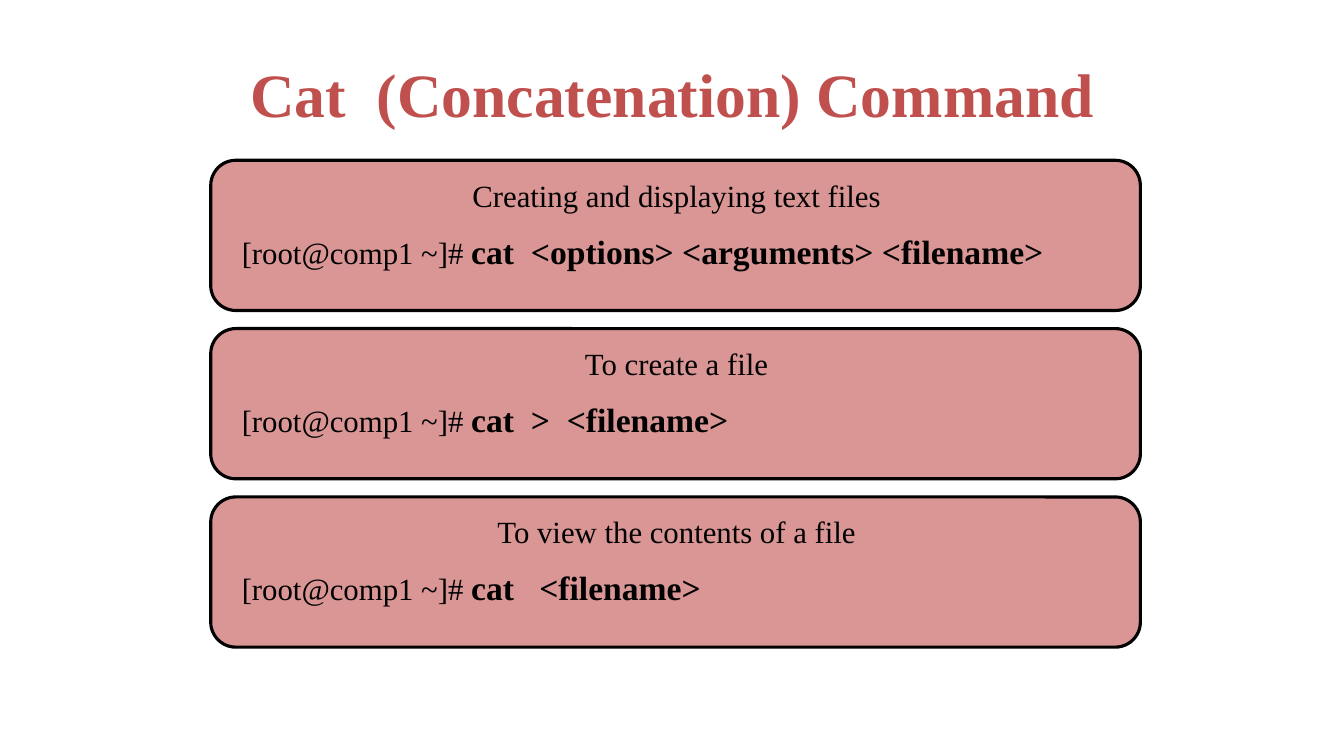
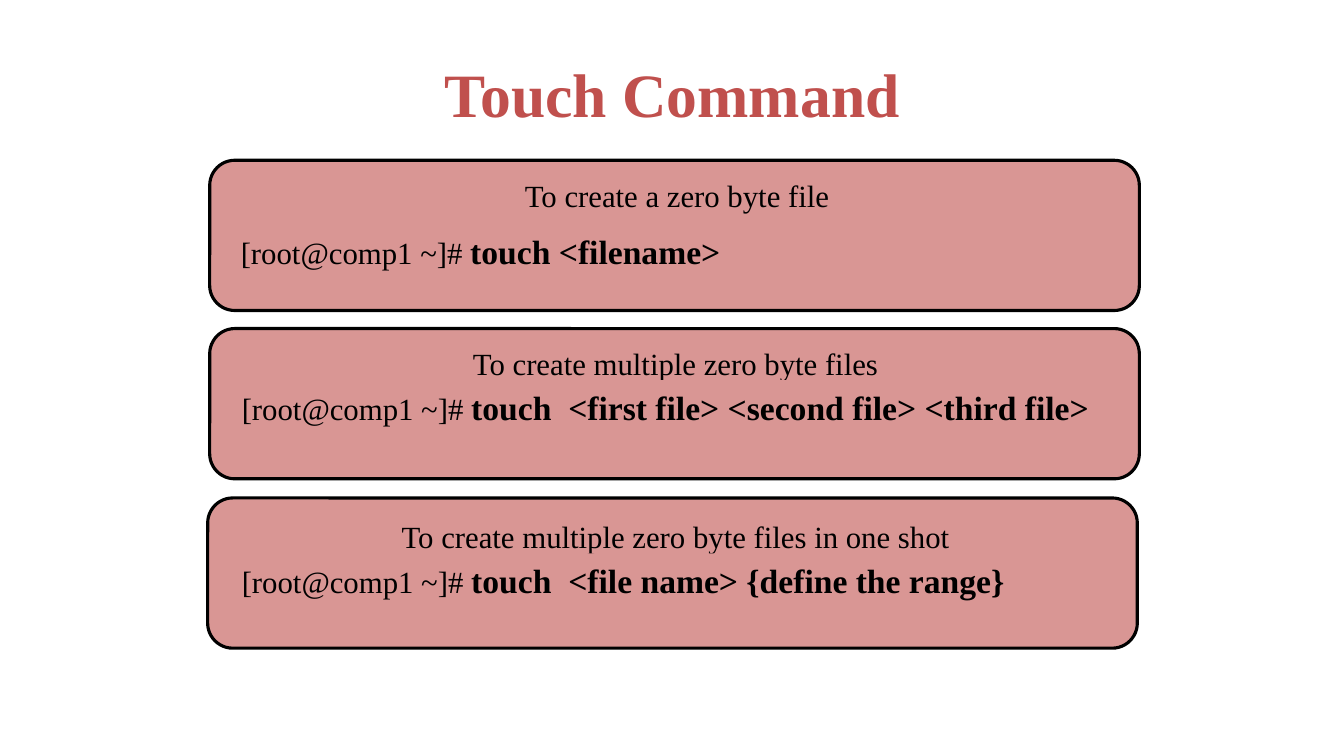
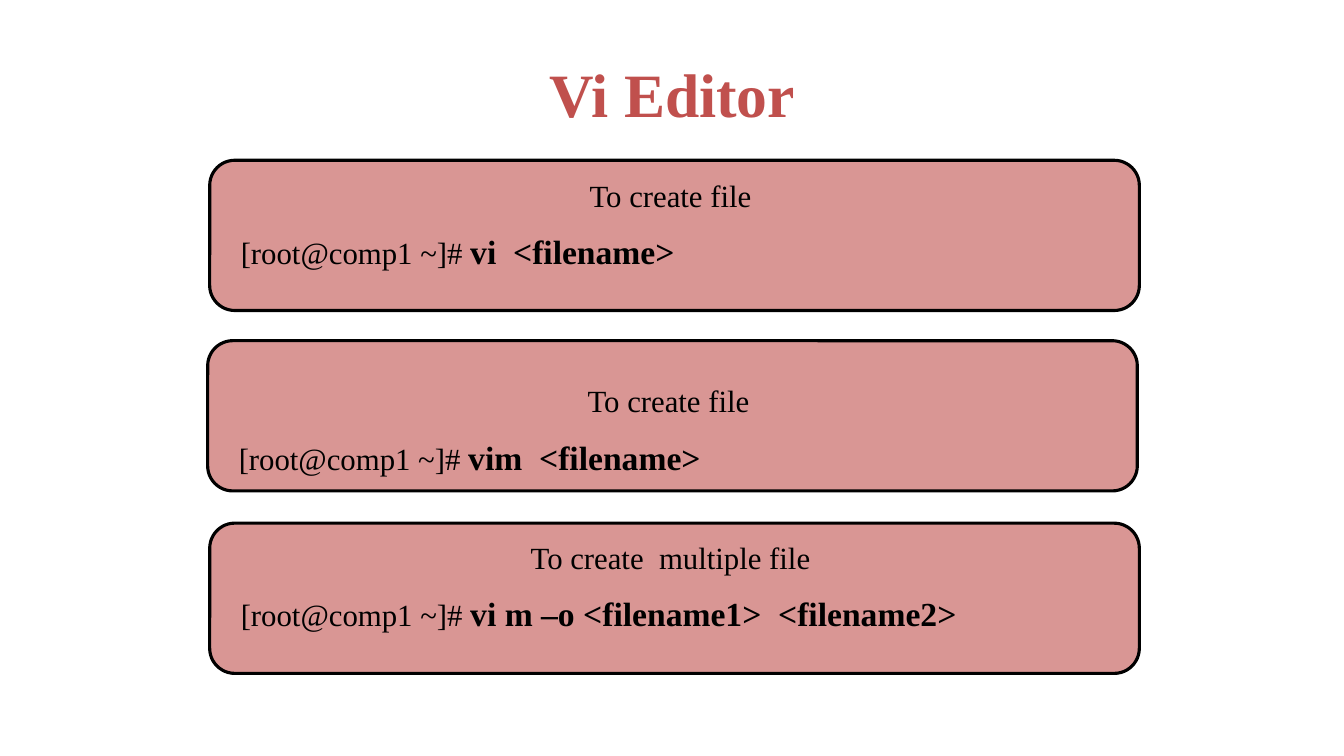
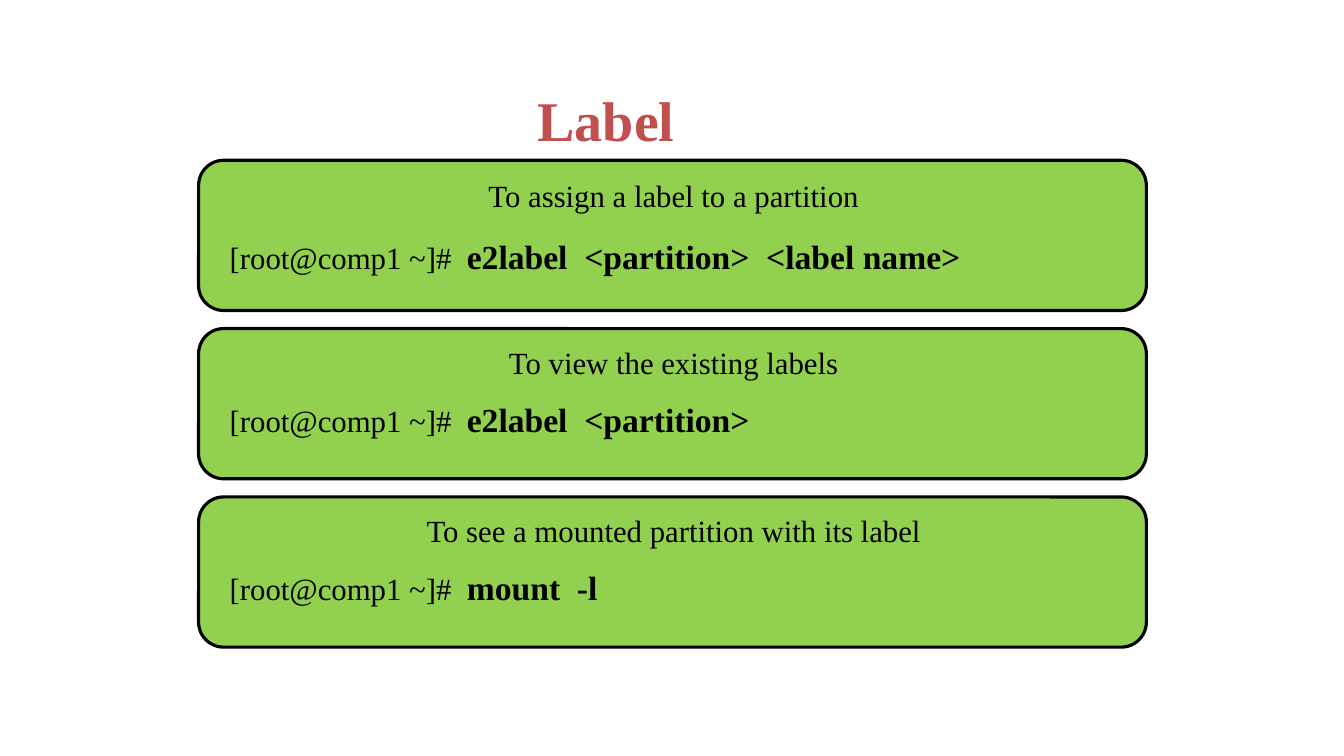
"""Build four slides of shell command cards."""

from dataclasses import dataclass

from pptx import Presentation
from pptx.dml.color import RGBColor
from pptx.enum.shapes import MSO_SHAPE
from pptx.enum.text import MSO_ANCHOR, MSO_AUTO_SIZE, PP_ALIGN
from pptx.shapes.autoshape import Shape
from pptx.shapes.group import GroupShape
from pptx.slide import Slide
from pptx.text.text import _Run
from pptx.util import Inches, Pt

ROUNDED = MSO_SHAPE.ROUNDED_RECTANGLE
RECTANGLE = MSO_SHAPE.RECTANGLE
MIDDLE = MSO_ANCHOR.MIDDLE
TOP = MSO_ANCHOR.TOP
FIT_SHAPE = MSO_AUTO_SIZE.SHAPE_TO_FIT_TEXT
CENTER = PP_ALIGN.CENTER
LEFT = PP_ALIGN.LEFT

RED = RGBColor(0xC0, 0x50, 0x4D)
ROSE = RGBColor(0xD9, 0x96, 0x94)
GREEN = RGBColor(0x92, 0xD0, 0x50)
BLACK = RGBColor(0, 0, 0)
FONT = "Times New Roman"

TITLE_ONLY = 5
CARD_HEIGHT = 1.49
TEXT_MARGIN = 0.38
FIRST_TOP = 1.59
CARD_STEP = 1.67
PROMPT = "[root@comp1 ~]# "


@dataclass(frozen=True)
class Box:
    """Position and size in inches."""

    left: float
    top: float
    width: float
    height: float


@dataclass(frozen=True)
class Card:
    """A caption and a command, with insets from the card's corner."""

    caption: str
    command: str
    left: float = 2.08
    top: float = FIRST_TOP
    caption_inset: float = 0.2
    caption_drop: float = 0.11
    caption_extra: float = 0
    command_inset: float = 0.21
    command_drop: float = 0.63


@dataclass(frozen=True)
class CommandSlide:
    """A title with its cards and their shared look."""

    title: str
    cards: tuple[Card, ...]
    title_box: Box = Box(0.67, 0.3, 12, 1.25)
    title_size: float = 44
    card_width: float = 9.22
    fill: RGBColor = ROSE
    prompt: str = PROMPT


SECOND_TOP = FIRST_TOP + CARD_STEP
THIRD_TOP = FIRST_TOP + 2 * CARD_STEP

SLIDES = (
    CommandSlide("Cat  (Concatenation) Command", (
        Card("Creating and displaying text files",
             "cat  <options> <arguments> <filename>", 2.09),
        Card("To create a file", "cat  >  <filename>", 2.09, SECOND_TOP),
        Card("To view the contents of a file", "cat   <filename>",
             2.09, THIRD_TOP),
    )),
    CommandSlide("Touch Command", (
        Card("To create a zero byte file", "touch <filename>",
             caption_inset=0.17, caption_extra=0.09),
        Card("To create multiple zero byte files",
             "touch  <first file> <second file> <third file>",
             top=SECOND_TOP, command_inset=0.22, command_drop=0.51),
        Card("To create multiple zero byte files in one shot",
             "touch  <file name> {define the range}", 2.06, 4.94,
             caption_inset=0.22, caption_drop=0.15,
             command_inset=0.24, command_drop=0.55),
    )),
    CommandSlide("Vi Editor", (
        Card("To create file", "vi  <filename>",
             caption_inset=0.12, caption_extra=0.06),
        Card("To create file", "vim  <filename>", 2.06, 3.38,
             caption_inset=0.12, caption_drop=0.36, caption_extra=0.06,
             command_drop=0.89),
        Card("To create  multiple file", "vi m –o <filename1>  <filename2>",
             top=5.19, caption_inset=0.12, caption_extra=0.06),
    )),
    CommandSlide("Label", (
        Card("To assign a label to a partition",
             "e2label  <partition>  <label name>", 1.97, command_drop=0.68),
        Card("To view the existing labels", "e2label  <partition>",
             1.97, SECOND_TOP, caption_drop=0.1),
        Card("To see a mounted partition with its label", "mount  -l",
             1.97, THIRD_TOP, caption_drop=0.1),
    ), Box(1.31, 0.46, 9.4, 1.44), 40, 9.4, GREEN, PROMPT + " "),
)


def style_run(run: _Run, size: float, color: RGBColor = BLACK,
              bold: bool = False) -> None:
    """Set the font of a run."""
    run.font.name = FONT
    run.font.size = Pt(size)
    run.font.bold = bold
    run.font.color.rgb = color


def add_panel(group: GroupShape, kind: MSO_SHAPE, box: Box,
              fill: RGBColor) -> Shape:
    """Add a flat filled shape without an outline."""
    shape = group.shapes.add_shape(
        kind, Inches(box.left), Inches(box.top),
        Inches(box.width), Inches(box.height))
    shape.shadow.inherit = False
    shape.fill.solid()
    shape.fill.fore_color.rgb = fill
    shape.line.fill.background()
    return shape


def add_text_panel(group: GroupShape, box: Box, fill: RGBColor, text: str,
                   alignment: PP_ALIGN) -> Shape:
    """Add a rectangle holding one line of plain text."""
    shape = add_panel(group, RECTANGLE, box, fill)
    text_frame = shape.text_frame
    text_frame.text = text
    text_frame.word_wrap = True
    text_frame.auto_size = FIT_SHAPE
    text_frame.vertical_anchor = TOP
    paragraph = text_frame.paragraphs[0]
    paragraph.alignment = alignment
    style_run(paragraph.runs[0], 22)
    return shape


def add_card(slide: Slide, card: Card, look: CommandSlide) -> None:
    """Draw one card as a group of frame, caption and command."""
    group = slide.shapes.add_group_shape()
    frame = add_panel(
        group, ROUNDED,
        Box(card.left, card.top, look.card_width, CARD_HEIGHT), look.fill)
    frame.line.color.rgb = BLACK
    frame.line.width = Pt(2.25)

    text_width = look.card_width - TEXT_MARGIN
    caption_box = Box(card.left + card.caption_inset,
                      card.top + card.caption_drop,
                      text_width + card.caption_extra, 0.47)
    add_text_panel(group, caption_box, look.fill, card.caption, CENTER)

    command_box = Box(card.left + card.command_inset,
                      card.top + card.command_drop, text_width, 0.52)
    command = add_text_panel(group, command_box, look.fill, look.prompt, LEFT)
    paragraph = command.text_frame.paragraphs[0]
    paragraph.line_spacing = Pt(30)
    run = paragraph.add_run()
    run.text = card.command
    style_run(run, 24, bold=True)


def set_title(slide: Slide, look: CommandSlide) -> None:
    """Place and format the title placeholder."""
    title = slide.shapes.title
    box = look.title_box
    title.left, title.top = Inches(box.left), Inches(box.top)
    title.width, title.height = Inches(box.width), Inches(box.height)
    title.text_frame.text = look.title
    title.text_frame.vertical_anchor = MIDDLE
    paragraph = title.text_frame.paragraphs[0]
    paragraph.alignment = CENTER
    style_run(paragraph.runs[0], look.title_size, RED, bold=True)


def main() -> None:
    """Build and save the presentation."""
    presentation = Presentation()
    presentation.slide_width = Inches(13.33)
    presentation.slide_height = Inches(7.5)
    for look in SLIDES:
        slide = presentation.slides.add_slide(
            presentation.slide_layouts[TITLE_ONLY])
        set_title(slide, look)
        for card in look.cards:
            add_card(slide, card, look)
    presentation.save("out.pptx")


if __name__ == "__main__":
    main()
